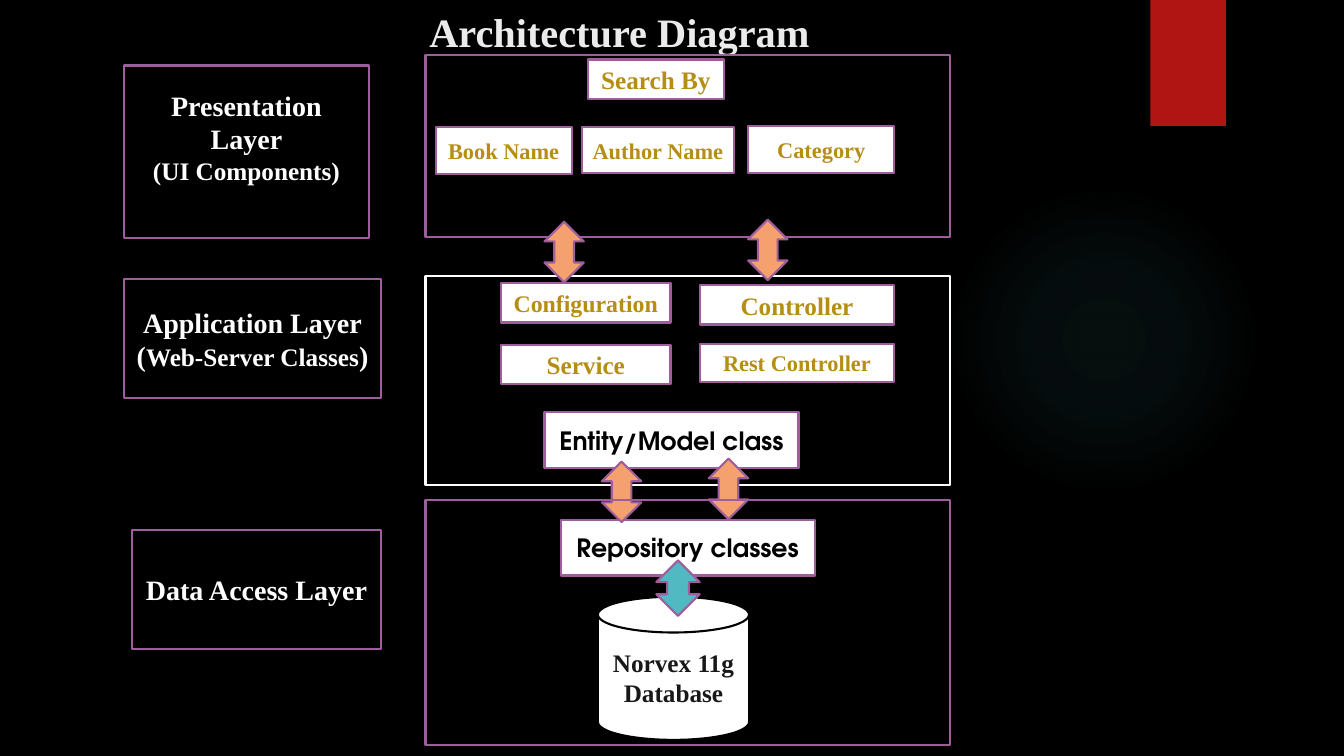
from pptx import Presentation
from pptx.util import Inches, Pt
from pptx.dml.color import RGBColor
from pptx.enum.shapes import MSO_SHAPE as Kind
from pptx.enum.text import PP_ALIGN as Align, MSO_ANCHOR as Anchor
from pptx.oxml import parse_xml
from pptx.oxml.ns import nsdecls

deck = Presentation()
deck.slide_width, deck.slide_height = Inches(13.33), Inches(7.5)
col, row = deck.slide_width / 133.3, deck.slide_height / 75
slide = deck.slides.add_slide(deck.slide_layouts[6])
hue = RGBColor.from_string
slide.background.fill.solid()
slide.background.fill.fore_color.rgb = hue("000000")

serif, sans = "Times New Roman", "TeX Gyre Adventor"
plum, gold, white, teal = "9E5E9B", "B68E15", "FFFFFF", "50B9C1"


def draw(kind, place, fill=None, line=plum):
    x, y, w, h = place
    shape = slide.shapes.add_shape(
        kind, round(x * col), round(y * row), round(w * col), round(h * row))
    shape.shadow.inherit = False
    if fill:
        shape.fill.solid()
        shape.fill.fore_color.rgb = hue(fill)
    else:
        shape.fill.background()
    if line:
        shape.line.color.rgb = hue(line)
        shape.line.width = Pt(1.5)
    else:
        shape.line.fill.background()
    return shape


def write(shape, lines, tint, face=serif, align=Align.CENTER):
    frame = shape.text_frame
    frame.word_wrap = True
    frame.vertical_anchor = Anchor.MIDDLE
    for i, parts in enumerate(lines):
        para = frame.add_paragraph() if i else frame.paragraphs[0]
        para.alignment = align
        for text, size in parts:
            run = para.add_run()
            run.text = text
            font = run.font
            font.name, font.size, font.bold = face, Pt(size), True
            font.color.rgb = hue(tint)
    return frame


glow = draw(Kind.OVAL, (94.1, 18.3, 30.8, 30.8), teal, None)
stops = "".join(
    f'<a:gs pos="{spot}000"><a:srgbClr val="{teal}"><a:alpha val="{alpha}000"/></a:srgbClr></a:gs>'
    for spot, alpha in ((0, 7), (36, 6), (69, 0)))
solid = glow.fill._xPr.solidFill if hasattr(glow.fill._xPr, "solidFill") else glow.fill._xPr.eg_fillProperties
solid.getparent().replace(solid, parse_xml(
    f'<a:gradFill {nsdecls("a")}><a:gsLst>{stops}</a:gsLst><a:path path="circle">'
    '<a:fillToRect l="50000" t="50000" r="50000" b="50000"/></a:path></a:gradFill>'))
draw(Kind.RECTANGLE, (114.1, 0, 7.5, 12.5), "B01513", None)

title = draw(Kind.RECTANGLE, (41.6, 0, 77.5, 5.5), None, None)
frame = write(title, [[("Architecture Diagram", 28.8)]], "EBEBEB", align=Align.LEFT)
frame.vertical_anchor = Anchor.BOTTOM
frame.margin_bottom = 0

store = draw(Kind.CAN, (59.3, 59.2, 15, 14.2), white, "000000")
write(store, [[("Norvex 11g Database", 18)]], "181818")

cards = [
    ("Search By", 18, 58.3, 5.9, 13.5, 3.9),
    ("Book Name", 16, 43.2, 12.6, 13.5, 4.7),
    ("Author Name", 16, 57.7, 12.6, 15.1, 4.6),
    ("Category", 16, 74.2, 12.5, 14.5, 4.7),
    ("Configuration", 17, 49.7, 28.1, 16.8, 3.9),
    ("Controller", 18, 69.4, 28.3, 19.3, 3.9),
    ("Service", 18, 49.7, 34.2, 16.8, 3.9),
    ("Rest Controller", 16, 69.4, 34.1, 19.3, 3.8),
    ("Entity/Model class", 18, 54, 40.9, 25.2, 5.5),
    ("Repository classes", 18, 55.6, 51.6, 25.2, 5.5),
]
for text, size, *place in cards:
    card = draw(Kind.RECTANGLE, place, white)
    code = "class" in text
    frame = write(card, [[(text, size)]], "000000" if code else gold, sans if code else serif)
    frame.margin_left = frame.margin_right = round(col / 2)

for top, high, line in ((5.5, 18, plum), (27.4, 20.7, white)):
    draw(Kind.RECTANGLE, (42.2, top, 52, high), None, line)
for x, y in ((54, 22), (74.2, 21.8), (59.7, 45.8), (70.3, 45.5)):
    draw(Kind.UP_DOWN_ARROW, (x, y, 3.9, 6), "F4A16F")
draw(Kind.RECTANGLE, (42.2, 49.6, 52, 24.3))
draw(Kind.UP_DOWN_ARROW, (65.1, 55.6, 4.3, 5.5), teal)

tiers = [
    ((12.3, 6.5, 24.3, 17.1), 3.4,
     [[("Presentation Layer", 20)], [("(UI Components)", 18)]]),
    ((12.3, 27.7, 25.5, 11.8), 0.5,
     [[("Application Layer", 20)], [("(", 20), ("Web-Server Classes", 18), (")", 20)]]),
    ((13.1, 52.6, 24.7, 11.8), 0.5, [[("Data Access Layer", 20)]]),
]
for place, foot, lines in tiers:
    frame = write(draw(Kind.RECTANGLE, place), lines, white)
    frame.margin_bottom = round(foot * row)

deck.save("out.pptx")
